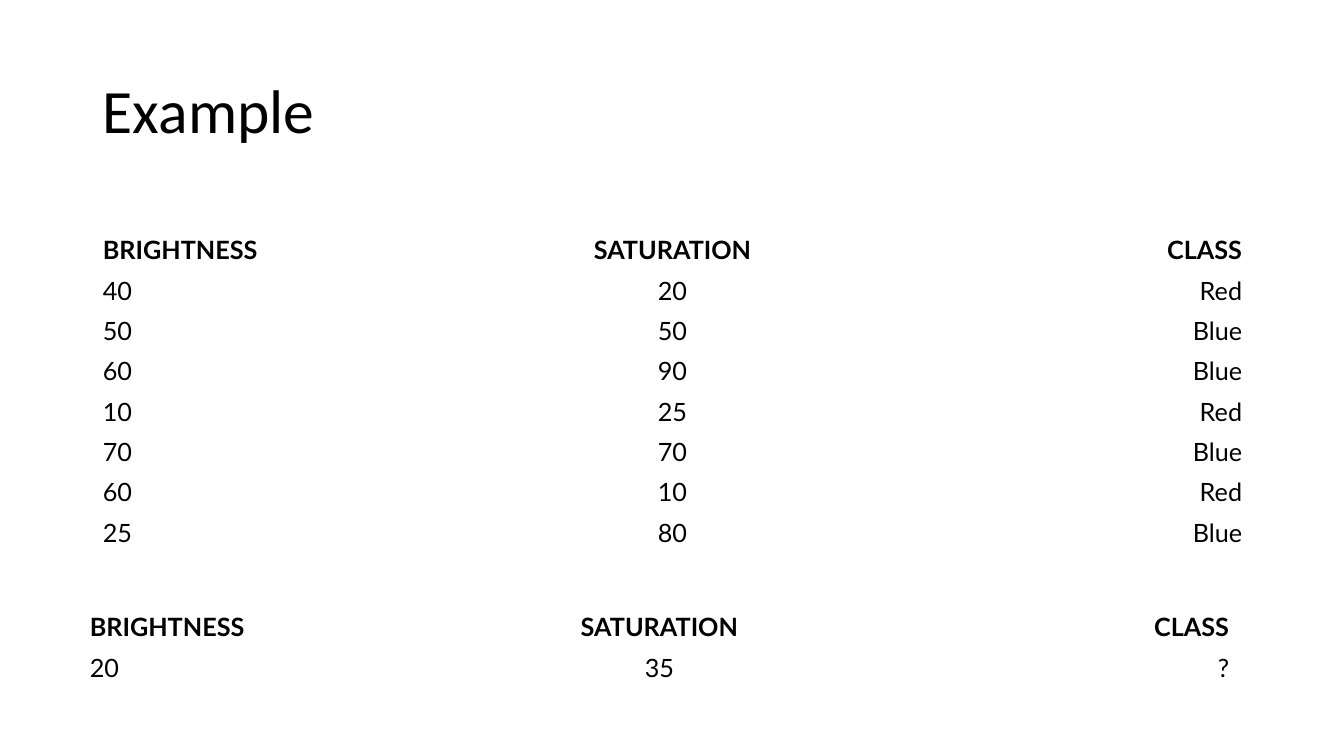
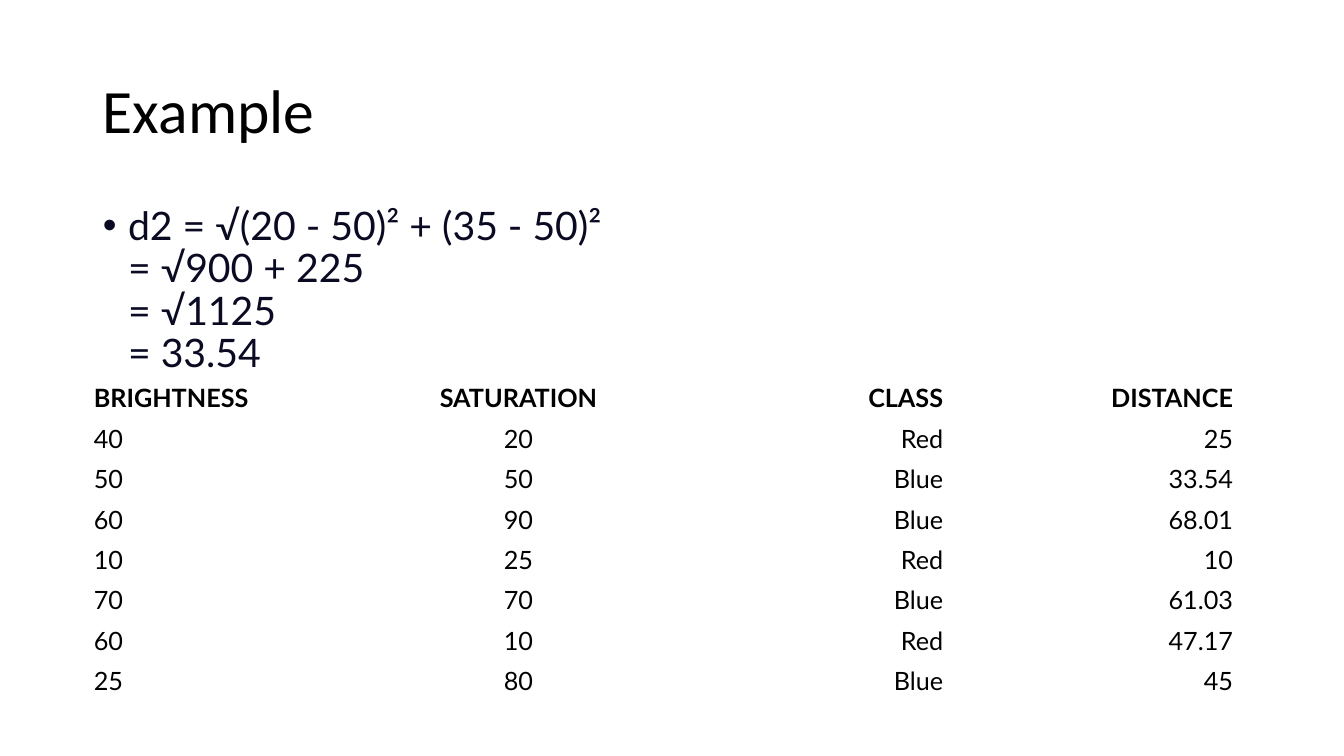
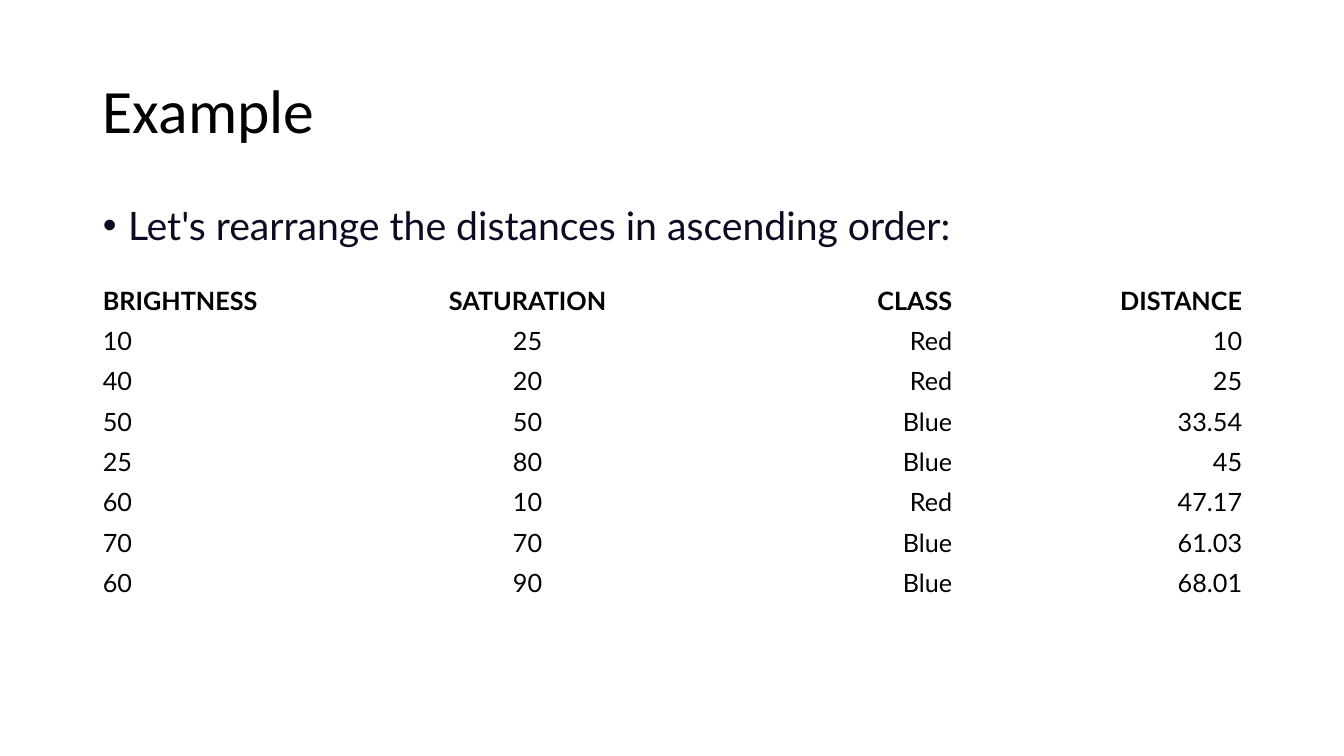
from dataclasses import dataclass

from pptx import Presentation
from pptx.dml.color import RGBColor as Rgb
from pptx.enum.text import MSO_ANCHOR as Anchor, MSO_AUTO_SIZE as AutoSize, PP_ALIGN as Align
from pptx.util import Inches, Pt


@dataclass(frozen=True)
class Theme:
    title_font: str = "Calibri"
    text_font: str = "Lato"
    black: Rgb = Rgb(0x00, 0x00, 0x00)
    navy: Rgb = Rgb(0x0A, 0x0A, 0x23)
    title_size: int = 44
    body_size: int = 28
    table_size: int = 18


THEME = Theme()
SLIDE_SIZE = (13.33, 7.5)
MARGIN = 0.92
CONTENT_WIDTH = 11.5
ROW_HEIGHT = 0.4
BULLET_INDENT = 0.25
TITLE_BOX = (MARGIN, 0.4, CONTENT_WIDTH, 1.45)
BODY_BOX = (MARGIN, 2, 10.7, 4.67)
TITLE_AND_BODY, TITLE_ONLY = 1, 5

HEADER = ("BRIGHTNESS", "SATURATION", "CLASS", "DISTANCE")
ALIGNMENTS = (Align.LEFT, Align.CENTER, Align.RIGHT, Align.RIGHT)
SAMPLES = [
    (40, 20, "Red", 25),
    (50, 50, "Blue", 33.54),
    (60, 90, "Blue", 68.01),
    (10, 25, "Red", 10),
    (70, 70, "Blue", 61.03),
    (60, 10, "Red", 47.17),
    (25, 80, "Blue", 45),
]
KNOWN = [HEADER[:3]] + [sample[:3] for sample in SAMPLES]
UNKNOWN = [HEADER[:3], (20, 35, "?")]
MEASURED = [HEADER] + SAMPLES
RANKED = [HEADER] + sorted(SAMPLES, key=lambda sample: sample[3])

SLIDES = [
    {
        "title": "Example",
        "lines": [],
        "tables": [(MARGIN, 2.28, KNOWN), (0.79, 6.02, UNKNOWN)],
    },
    {
        "title": "Example",
        "lines": ["d2 = √(20 - 50)² + (35 - 50)²", "= √900 + 225", "= √1125", "= 33.54"],
        "tables": [(0.83, 3.75, MEASURED)],
    },
    {
        "title": "Example",
        "lines": ["Let's rearrange the distances in ascending order:"],
        "tables": [(MARGIN, 2.78, RANKED)],
    },
]


def style_text(para, font, size, color, align=Align.LEFT, bold=False):
    para.alignment = align
    para.font.name = font
    para.font.size = Pt(size)
    para.font.color.rgb = color
    para.font.bold = bold


def fill_placeholder(holder, bounds, lines, anchor):
    holder.left, holder.top, holder.width, holder.height = map(Inches, bounds)
    frame = holder.text_frame
    frame.word_wrap = True
    frame.auto_size = AutoSize.NONE
    frame.vertical_anchor = anchor
    para = frame.paragraphs[0]
    para.text = "\n".join(lines)
    para.line_spacing = 0.9
    return para


def add_title(page, text):
    para = fill_placeholder(page.shapes.title, TITLE_BOX, [text], Anchor.MIDDLE)
    style_text(para, THEME.title_font, THEME.title_size, THEME.black)


def add_bullet(page, lines):
    para = fill_placeholder(page.placeholders[1], BODY_BOX, lines, Anchor.TOP)
    para.space_before = Pt(10)
    style_text(para, THEME.text_font, THEME.body_size, THEME.navy)
    properties = para._p.get_or_add_pPr()
    properties.set("marL", str(Inches(BULLET_INDENT)))
    properties.set("indent", str(-Inches(BULLET_INDENT)))


def add_data_table(page, left, top, rows):
    columns = len(rows[0])
    bounds = map(Inches, (left, top, CONTENT_WIDTH, ROW_HEIGHT * len(rows)))
    table = page.shapes.add_table(len(rows), columns, *bounds).table
    table.horz_banding = False
    for row_index, values in enumerate(rows):
        for column_index, value in enumerate(values):
            cell = table.cell(row_index, column_index)
            cell.fill.background()
            para = cell.text_frame.paragraphs[0]
            para.text = str(value)
            style_text(para, THEME.text_font, THEME.table_size, THEME.black,
                       ALIGNMENTS[column_index], row_index == 0)


def main():
    deck = Presentation()
    deck.slide_width, deck.slide_height = map(Inches, SLIDE_SIZE)
    for content in SLIDES:
        layout = TITLE_AND_BODY if content["lines"] else TITLE_ONLY
        page = deck.slides.add_slide(deck.slide_layouts[layout])
        add_title(page, content["title"])
        if content["lines"]:
            add_bullet(page, content["lines"])
        for left, top, rows in content["tables"]:
            add_data_table(page, left, top, rows)
    deck.save("out.pptx")


if __name__ == "__main__":
    main()
